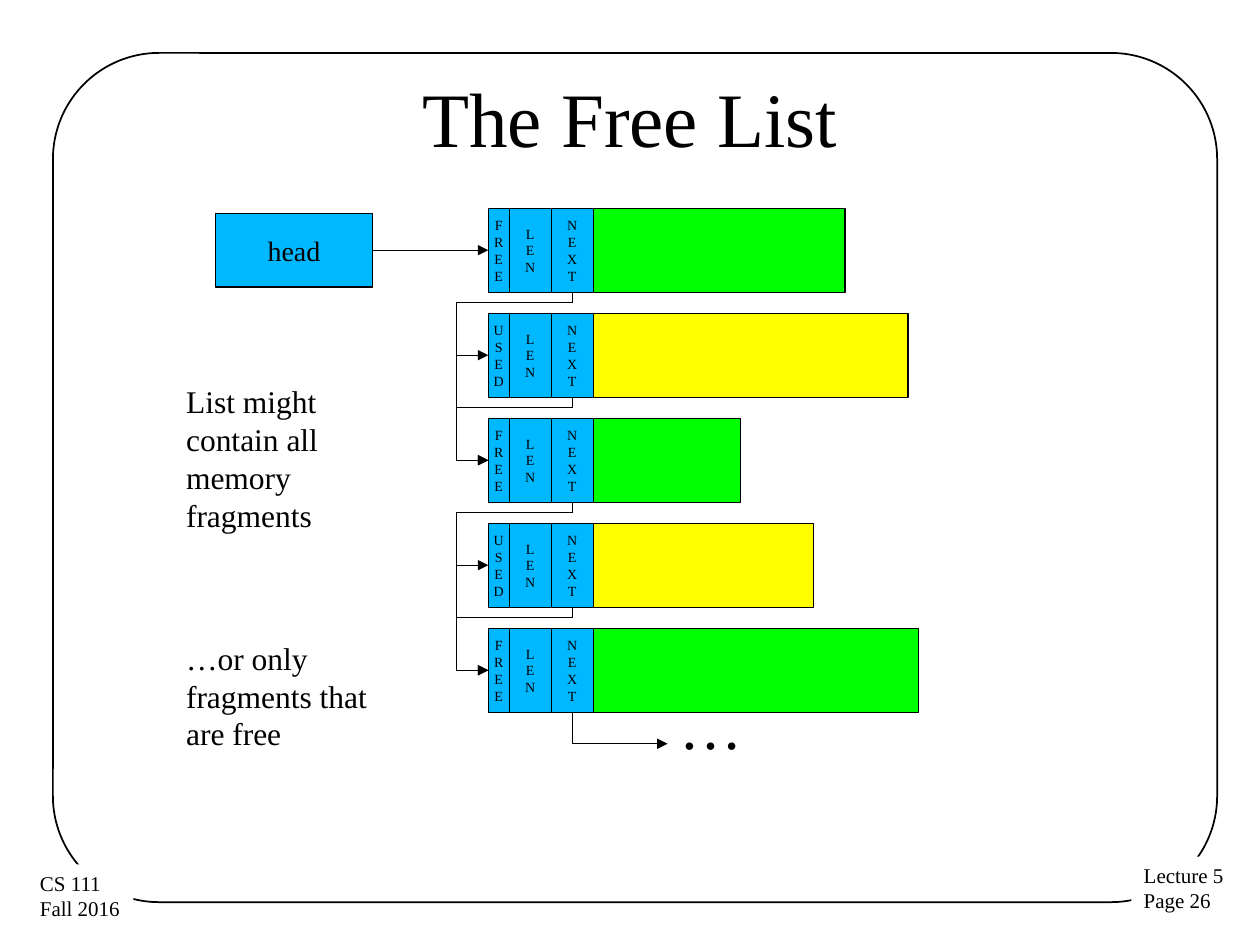
from lxml import etree
from pptx import Presentation
from pptx.dml.color import RGBColor
from pptx.enum import shapes, text
from pptx.oxml import ns
from pptx.util import Pt

BLACK, WHITE, BLUE = "000000", "FFFFFF", "00B8FF"
GREEN, YELLOW = "00FF00", "FFFF00"


def color(value):
    return RGBColor.from_string(value)


class Page:
    font = "Times New Roman"
    stroke = 0.75

    def __init__(self, slide):
        self.slide = slide

    def add_lines(self, shape, lines, size, align, anchor, wrap):
        frame = shape.text_frame
        frame.word_wrap = wrap
        frame.vertical_anchor = anchor
        for i, line in enumerate(lines):
            para = frame.paragraphs[0] if i == 0 else frame.add_paragraph()
            para.alignment = align
            run = para.add_run()
            run.text = line
            run.font.size = Pt(size)
            run.font.name = self.font
            run.font.color.rgb = color(BLACK)

    def box(self, x, y, w, h, fill=None, lines=(), size=8, rounded=False, stroke=stroke):
        kind = shapes.MSO_SHAPE.ROUNDED_RECTANGLE if rounded else shapes.MSO_SHAPE.RECTANGLE
        shape = self.slide.shapes.add_shape(kind, Pt(x), Pt(y), Pt(w), Pt(h))
        shape.shadow.inherit = False
        if fill:
            shape.fill.solid()
            shape.fill.fore_color.rgb = color(fill)
        else:
            shape.fill.background()
        shape.line.color.rgb = color(BLACK)
        shape.line.width = Pt(stroke)
        self.add_lines(shape, lines, size, text.PP_ALIGN.CENTER, text.MSO_ANCHOR.MIDDLE, False)
        return shape

    def label(self, x, y, w, h, lines, size, align=text.PP_ALIGN.LEFT,
              anchor=text.MSO_ANCHOR.TOP, wrap=True, fill=None):
        shape = self.slide.shapes.add_textbox(Pt(x), Pt(y), Pt(w), Pt(h))
        if fill:
            shape.fill.solid()
            shape.fill.fore_color.rgb = color(fill)
        self.add_lines(shape, lines, size, align, anchor, wrap)

    def arrow(self, x1, y1, x2, y2, kind=shapes.MSO_CONNECTOR.STRAIGHT):
        link = self.slide.shapes.add_connector(kind, Pt(x1), Pt(y1), Pt(x2), Pt(y2))
        link.line.color.rgb = color(BLACK)
        link.line.width = Pt(self.stroke)
        props = link._element.spPr
        etree.SubElement(props.find(ns.qn("a:ln")), ns.qn("a:tailEnd"), type="triangle")
        etree.SubElement(props, ns.qn("a:effectLst"))
        return link

    def elbow(self, x1, y1, x2, y2, preset, adjustments=()):
        """Bent arrow that leaves downwards: a quarter turn about its centre."""
        cx, cy = (x1 + x2) / 2, (y1 + y2) / 2
        half_w, half_h = (y2 - y1) / 2, abs(x2 - x1) / 2
        side = 1 if x2 < x1 else -1
        link = self.arrow(cx - side * half_w, cy - half_h, cx + side * half_w, cy + half_h,
                          shapes.MSO_CONNECTOR.ELBOW)
        props = link._element.spPr
        props.find(ns.qn("a:xfrm")).set("rot", str((90 if side > 0 else 270) * 60000))
        geometry = props.find(ns.qn("a:prstGeom"))
        geometry.set("prst", preset)
        guides = geometry.find(ns.qn("a:avLst"))
        for i, value in enumerate(adjustments, 1):
            etree.SubElement(guides, ns.qn("a:gd"), name=f"adj{i}",
                             fmla=f"val {round(value * 100000)}")


deck = Presentation()
deck.slide_width, deck.slide_height = Pt(720), Pt(540)
page = Page(deck.slides.add_slide(deck.slide_layouts[6]))

# Frame, footers and title
frame = page.box(30.25, 30.25, 665.25, 485.25, rounded=True, stroke=1)
frame.adjustments[0] = 0.125
for x, y, lines in ((646.5, 489.5, ("Lecture 5", "Page 26")),
                    (15.75, 494, ("CS 111", "Fall 2016"))):
    page.label(x, y, 60.5, 36.75, lines, 12, wrap=False, fill=WHITE)
page.label(36, 21.6, 648, 90, ["The Free List"], 44,
           text.PP_ALIGN.CENTER, text.MSO_ANCHOR.MIDDLE)

# Memory fragments: three header cells, then the body
LEFT, TOP, HEIGHT, PITCH = 279, 119, 48, 60
FRAGMENTS = (("FREE", 144), ("USED", 180), ("FREE", 84), ("USED", 126), ("FREE", 186))
row_tops = [TOP + PITCH * i for i in range(len(FRAGMENTS))]
page.box(123, 122, 90, 42, BLUE, ["head"], 16)
for y, (state, body_width) in zip(row_tops, FRAGMENTS):
    x = LEFT
    for word, width in ((state, 12), ("LEN", 24), ("NEXT", 24)):
        page.box(x, y, width, HEIGHT, BLUE, word)
        x += width
    page.box(x, y, body_width, HEIGHT, GREEN if state == "FREE" else YELLOW)

# Links: every fragment to the next one, free ones also to the next free one
next_x = LEFT + 48
middle = HEIGHT / 2
page.arrow(213, TOP + middle, LEFT, TOP + middle)
steps = [(i, i + 1) for i in range(4)] + [(0, 2), (2, 4)]
for start, end in steps:
    y1, y2 = row_tops[start] + HEIGHT, row_tops[end] + middle
    page.elbow(next_x, y1, LEFT, y2, "bentConnector4",
               (6 / (y2 - y1), 1 + 18 / (next_x - LEFT)))
list_end = row_tops[-1] + HEIGHT
page.elbow(next_x, list_end, 381.5, list_end + 18, "bentConnector2")
page.label(381.5, 389, 78, 50, ["…"], 36)

# Remarks
for y, remark in ((215, "List might contain all memory fragments"),
                  (361.5, "…or only fragments that are free")):
    page.label(99.25, y, 126, 124, [remark], 18)

deck.save("out.pptx")
